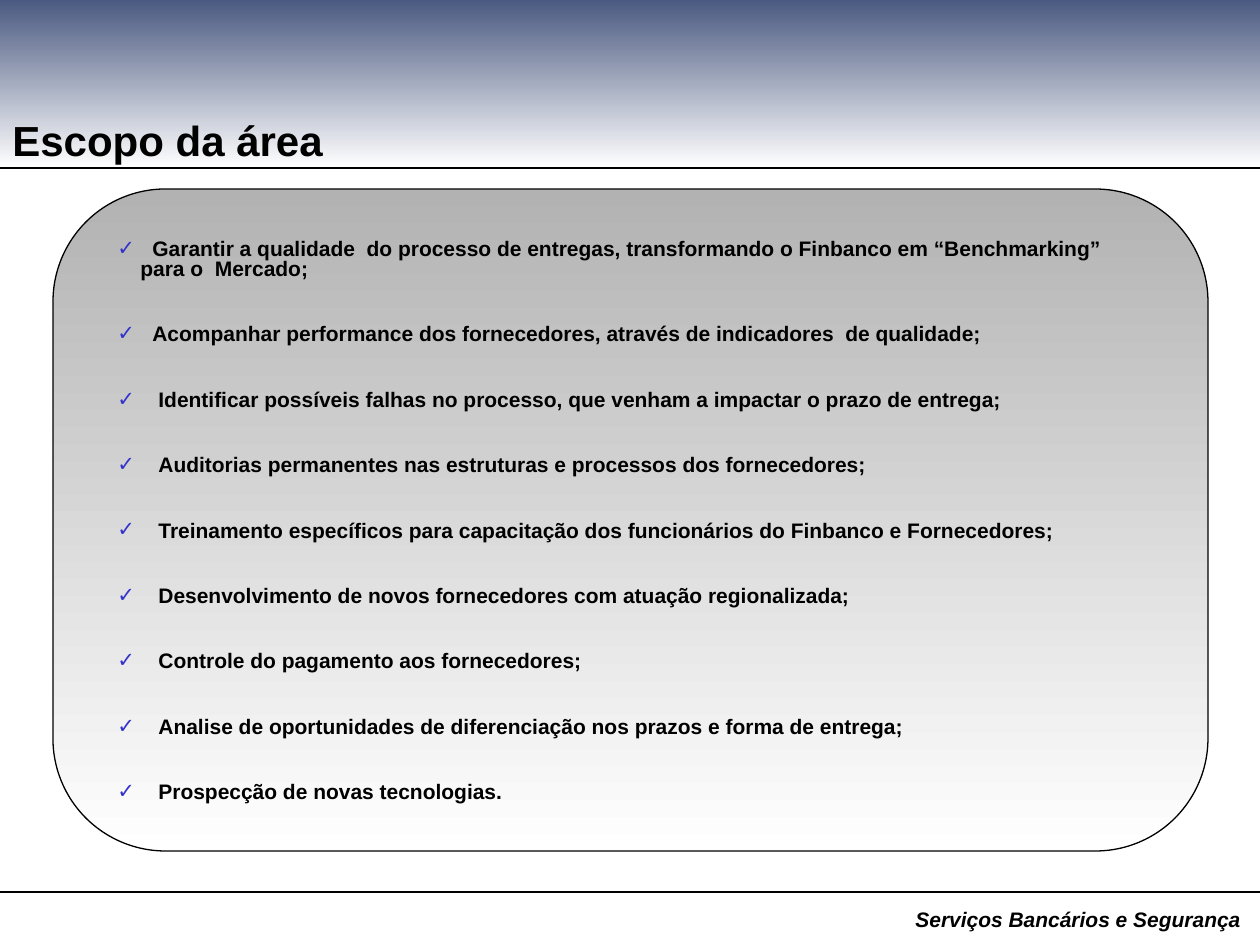
from lxml import etree
from pptx import Presentation
from pptx import util as u
from pptx.dml.color import RGBColor
from pptx.enum import shapes, text
from pptx.oxml.ns import qn

PX = 914400 / 126
WIDTH, HEIGHT = 1260, 945
FONT = "Arial"
BLACK, WHITE, NAVY, GRAY, CHECK_BLUE = "000000", "FFFFFF", "4B5A81", "B2B2B2", "3333CC"

TITLE = "Escopo da área"
FOOTER = "Serviços Bancários e Segurança"
NARROW, WIDE, CONTINUED = 35, 41, 23
BULLET_SPACING, CONTINUED_SPACING = 37.4, 11.4
SCOPE = [
    ("Garantir a qualidade  do processo de entregas, transformando o Finbanco em “Benchmarking”", NARROW),
    ("para o  Mercado;", CONTINUED),
    ("Acompanhar performance dos fornecedores, através de indicadores  de qualidade;", NARROW),
    ("Identificar possíveis falhas no processo, que venham a impactar o prazo de entrega;", WIDE),
    ("Auditorias permanentes nas estruturas e processos dos fornecedores;", WIDE),
    ("Treinamento específicos para capacitação dos funcionários do Finbanco e Fornecedores;", WIDE),
    ("Desenvolvimento de novos fornecedores com atuação regionalizada;", WIDE),
    ("Controle do pagamento aos fornecedores;", WIDE),
    ("Analise de oportunidades de diferenciação nos prazos e forma de entrega;", WIDE),
    ("Prospecção de novas tecnologias.", WIDE),
]
HEADER_BOX = (0, 0, WIDTH, 168)
PANEL_BOX = (53, 189, 1155, 662)
SCOPE_BOX = (105, 189, 1082, 688)
FOOTER_BOX = (903, 900, 357, 38)
RULES = [168, 892]


def px(value):
    return u.Emu(round(value * PX))


def color(value):
    return RGBColor.from_string(value)


def add_gradient_shape(slide, kind, box, top_color):
    shape = slide.shapes.add_shape(kind, *map(px, box))
    shape.shadow.inherit = False
    shape.fill.gradient()
    shape.fill.gradient_angle = 270
    for stop, value in zip(shape.fill.gradient_stops, (top_color, WHITE)):
        stop.color.rgb = color(value)
    return shape


def style_line(line):
    line.color.rgb = color(BLACK)
    line.width = u.Pt(0.75)


def add_rule(slide, y):
    rule = slide.shapes.add_connector(shapes.MSO_CONNECTOR.STRAIGHT, 0, px(y), px(WIDTH), px(y))
    style_line(rule.line)
    etree.SubElement(rule._element.spPr, qn("a:effectLst"))


def format_text(paragraph, size, italic=False):
    for run in paragraph.runs:
        font = run.font
        font.name, font.size = FONT, u.Pt(size)
        font.bold, font.italic = True, italic
        font.color.rgb = color(BLACK)


def set_indent(paragraph, margin, bulleted):
    properties = paragraph._p.get_or_add_pPr()
    properties.set("marL", str(px(margin)))
    properties.set("indent", str(-px(margin) if bulleted else 0))
    if bulleted:
        bullet_color = etree.SubElement(properties, qn("a:buClr"))
        etree.SubElement(bullet_color, qn("a:srgbClr"), val=CHECK_BLUE)
        etree.SubElement(properties, qn("a:buFont"), typeface=FONT)
        etree.SubElement(properties, qn("a:buChar"), char="✓")


def add_header(slide):
    header = add_gradient_shape(slide, shapes.MSO_SHAPE.RECTANGLE, HEADER_BOX, NAVY)
    header.line.fill.background()
    frame = header.text_frame
    frame.text = TITLE
    frame.vertical_anchor = text.MSO_ANCHOR.BOTTOM
    frame.margin_bottom = px(3)
    frame.paragraphs[0].alignment = text.PP_ALIGN.LEFT
    format_text(frame.paragraphs[0], 24)


def add_scope(slide):
    panel = add_gradient_shape(slide, shapes.MSO_SHAPE.ROUNDED_RECTANGLE, PANEL_BOX, GRAY)
    panel.adjustments[0] = 0.17
    style_line(panel.line)
    frame = slide.shapes.add_textbox(*map(px, SCOPE_BOX)).text_frame
    frame.word_wrap = True
    frame.text = "\n".join(line for line, _ in SCOPE)
    for paragraph, (_, margin) in zip(frame.paragraphs, SCOPE):
        bulleted = margin != CONTINUED
        paragraph.line_spacing = u.Pt(BULLET_SPACING if bulleted else CONTINUED_SPACING)
        set_indent(paragraph, margin, bulleted)
        format_text(paragraph, 12)


def add_footer(slide):
    frame = slide.shapes.add_textbox(*map(px, FOOTER_BOX)).text_frame
    frame.word_wrap = True
    frame.text = FOOTER
    format_text(frame.paragraphs[0], 12, italic=True)


def main():
    presentation = Presentation()
    presentation.slide_width, presentation.slide_height = px(WIDTH), px(HEIGHT)
    slide = presentation.slides.add_slide(presentation.slide_layouts[6])
    add_header(slide)
    for y in RULES:
        add_rule(slide, y)
    add_footer(slide)
    add_scope(slide)
    presentation.save("out.pptx")


if __name__ == "__main__":
    main()
